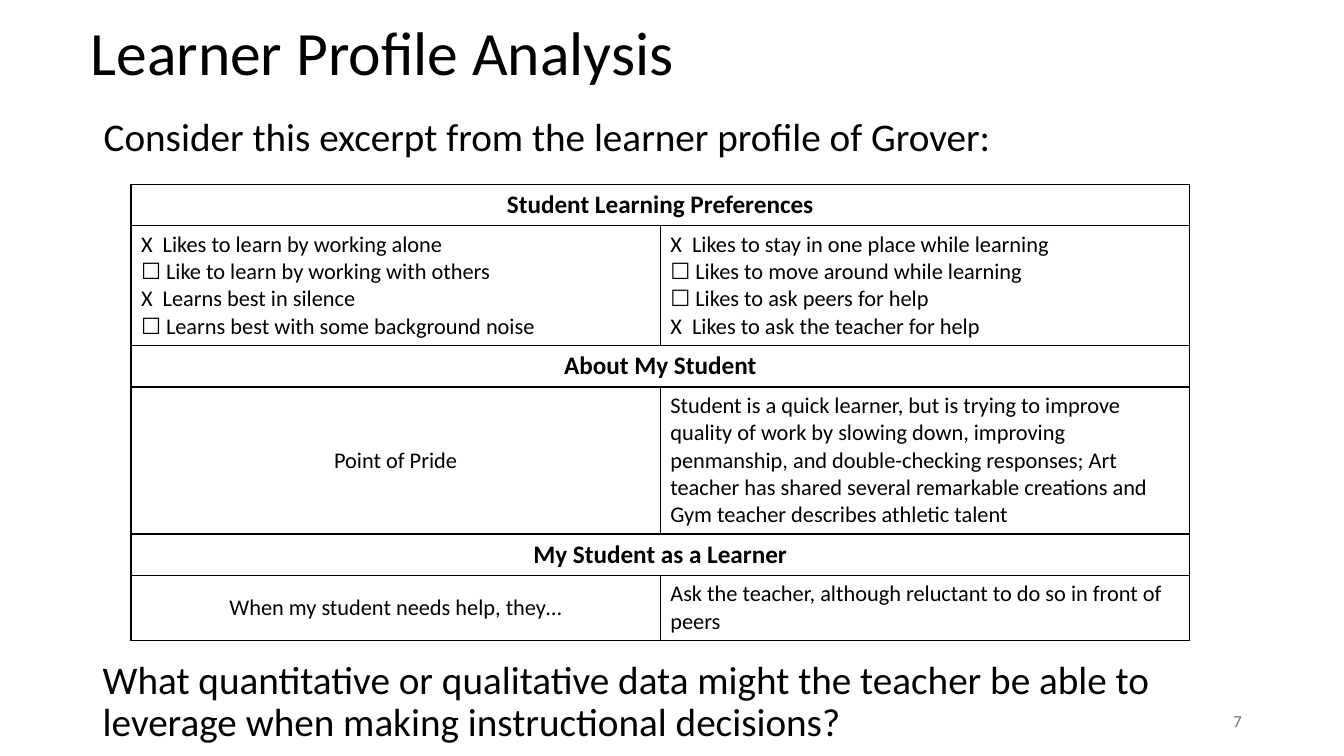
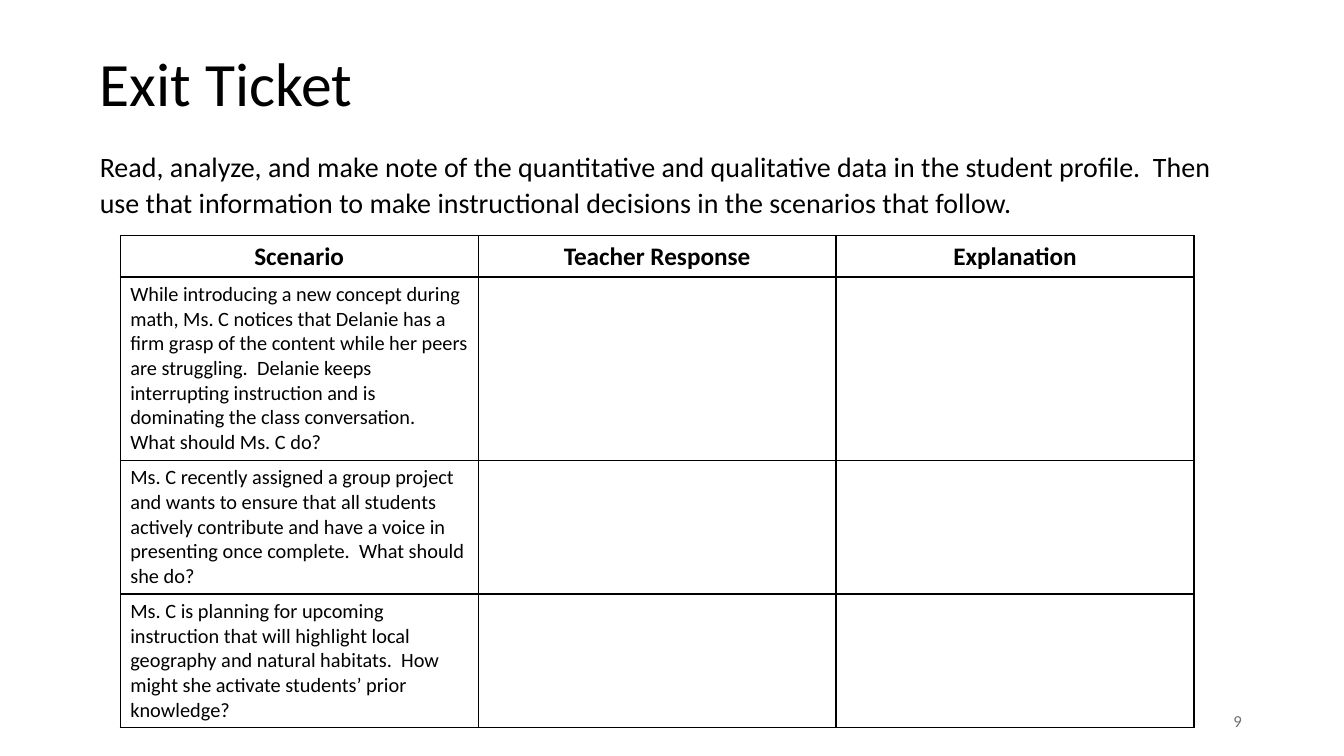
import pptx
import pptx.util
import pptx.dml.color
import pptx.enum.text
import pptx.oxml
import pptx.oxml.ns
from lxml import etree

Cm, Pt = pptx.util.Cm, pptx.util.Pt
ALIGN = pptx.enum.text.PP_ALIGN
ANCHOR = pptx.enum.text.MSO_ANCHOR
qn = pptx.oxml.ns.qn

COLORS = {"ink": "000000", "paper": "FFFFFF", "page": "717171"}
FACE = "Calibri"
WIDTH = 29.21
PAGE_BOX = (23.93, 17.65, 7.62, 1.02)

HEAD = dict(size=18, bold=True, align=ALIGN.CENTER, anchor=ANCHOR.MIDDLE)
LABEL = dict(size=16, align=ALIGN.CENTER, anchor=ANCHOR.MIDDLE)
ITEM = dict(size=16)
CASE = dict(size=14.5)
LARGE = dict(size=28, line=0.9)

SLIDES = [
    {
        "title": ("Learner Profile Analysis", (2.03, -0.43, WIDTH, 3.68)),
        "body": ("Consider this excerpt from the learner profile of Grover:",
                 (2.36, 2.84, WIDTH, 12.09), LARGE),
        "table": {
            "at": (3.3, 4.65),
            "cols": [13.34] * 2,
            "rows": [
                (1.04, [("Student Learning Preferences", HEAD)]),
                (3.02, [
                    (["X  Likes to learn by working alone",
                      "☐ Like to learn by working with others",
                      "X  Learns best in silence",
                      "☐ Learns best with some background noise"], ITEM),
                    (["X  Likes to stay in one place while learning",
                      "☐ Likes to move around while learning",
                      "☐ Likes to ask peers for help",
                      "X  Likes to ask the teacher for help"], ITEM)]),
                (1.04, [("About My Student", HEAD)]),
                (3.7, [
                    ("Point of Pride", LABEL),
                    ("Student is a quick learner, but is trying to improve "
                     "quality of work by slowing down, improving penmanship, "
                     "and double-checking responses; Art teacher has shared "
                     "several remarkable creations and Gym teacher describes "
                     "athletic talent", ITEM)]),
                (1.04, [("My Student as a Learner", HEAD)]),
                (1.64, [
                    ("When my student needs help, they…", LABEL),
                    ("Ask the teacher, although reluctant to do so in front "
                     "of peers", ITEM)]),
            ],
        },
        "prompt": ("What quantitative or qualitative data might the teacher be "
                   "able to leverage when making instructional decisions?",
                   (2.34, 16.51, WIDTH, 2.5), LARGE),
        "page": "7",
    },
    {
        "title": ("Exit Ticket", (2.26, 0.33, WIDTH, 3.68)),
        "body": ("Read, analyze, and make note of the quantitative and "
                 "qualitative data in the student profile.  Then use that "
                 "information to make instructional decisions in the scenarios "
                 "that follow.",
                 (2.26, 3.58, WIDTH, 12.9), dict(size=20, line=1.07, after=8)),
        "table": {
            "at": (3.03, 5.94),
            "cols": [9.02] * 3,
            "rows": [
                (1.04, [("Scenario", HEAD), ("Teacher Response", HEAD),
                        ("Explanation", HEAD)]),
                (4.62, [
                    ("While introducing a new concept during math, Ms. C "
                     "notices that Delanie has a firm grasp of the content "
                     "while her peers are struggling.  Delanie keeps "
                     "interrupting instruction and is dominating the class "
                     "conversation.  What should Ms. C do?", CASE),
                    ("", CASE), ("", CASE)]),
                (3.37, [
                    ("Ms. C recently assigned a group project and wants to "
                     "ensure that all students actively contribute and have a "
                     "voice in presenting once complete.  What should she do?",
                     CASE),
                    ("", CASE), ("", CASE)]),
                (3.37, [
                    ("Ms. C is planning for upcoming instruction that will "
                     "highlight local geography and natural habitats.  How "
                     "might she activate students’ prior knowledge?", CASE),
                    ("", CASE), ("", CASE)]),
            ],
        },
        "page": "9",
    },
]


def rgb(name):
    return pptx.dml.color.RGBColor.from_string(COLORS[name])


def write(frame, text, *, size, bold=False, color="ink", align=ALIGN.LEFT,
          line=1.0, after=0):
    lines = [text] if isinstance(text, str) else text
    for i, words in enumerate(lines):
        par = frame.paragraphs[0] if i == 0 else frame.add_paragraph()
        par.text = words
        props = par._p.get_or_add_pPr()
        props.set("marL", "0")
        props.set("indent", "0")
        etree.SubElement(props, qn("a:buNone"))
        par.alignment = align
        par.line_spacing = line
        par.space_before = Pt(0)
        par.space_after = Pt(after)
        font = par.font
        font.name, font.size, font.bold = FACE, Pt(size), bold
        font.color.rgb = rgb(color)


def place(shape, box, text, anchor=ANCHOR.TOP, **style):
    shape.left, shape.top, shape.width, shape.height = map(Cm, box)
    frame = shape.text_frame
    frame.word_wrap = True
    frame.auto_size = pptx.enum.text.MSO_AUTO_SIZE.NONE
    frame.vertical_anchor = anchor
    write(frame, text, **style)


def add_box(slide, box, text, **style):
    place(slide.shapes.add_textbox(*map(Cm, box)), box, text, **style)


def frame_cell(cell):
    props = cell._tc.get_or_add_tcPr()
    for side in ("lnL", "lnR", "lnT", "lnB"):
        edge = etree.SubElement(props, qn("a:" + side), w=str(Pt(1)))
        fill = etree.SubElement(edge, qn("a:solidFill"))
        etree.SubElement(fill, qn("a:srgbClr"), val=COLORS["ink"])
    cell.fill.solid()
    cell.fill.fore_color.rgb = rgb("paper")


def add_grid(slide, at, cols, rows):
    high = sum(row[0] for row in rows)
    grid = slide.shapes.add_table(
        len(rows), len(cols), *map(Cm, (*at, sum(cols), high))).table
    grid.first_row = grid.horz_banding = False
    for col, wide in zip(grid.columns, cols):
        col.width = Cm(wide)
    for r, (tall, cells) in enumerate(rows):
        grid.rows[r].height = Cm(tall)
        for c in range(len(cols)):
            frame_cell(grid.cell(r, c))
        if len(cells) < len(cols):
            grid.cell(r, 0).merge(grid.cell(r, len(cols) - 1))
        for c, (text, style) in enumerate(cells):
            cell, look = grid.cell(r, c), dict(style)
            cell.vertical_anchor = look.pop("anchor", ANCHOR.TOP)
            write(cell.text_frame, text, **look)


def build(deck, data):
    slide = deck.slides.add_slide(deck.slide_layouts[1])
    title, box = data["title"]
    place(slide.shapes.title, box, title, anchor=ANCHOR.MIDDLE, size=44, line=0.9)
    body, box, style = data["body"]
    place(slide.placeholders[1], box, body, **style)
    add_grid(slide, **data["table"])
    if "prompt" in data:
        prompt, box, style = data["prompt"]
        add_box(slide, box, prompt, **style)
    add_box(slide, PAGE_BOX, data["page"], anchor=ANCHOR.MIDDLE,
            size=12, color="page", align=ALIGN.RIGHT)


def main():
    deck = pptx.Presentation()
    deck.slide_width, deck.slide_height = Cm(33.87), Cm(19.05)
    for data in SLIDES:
        build(deck, data)
    deck.save("out.pptx")


if __name__ == "__main__":
    main()
